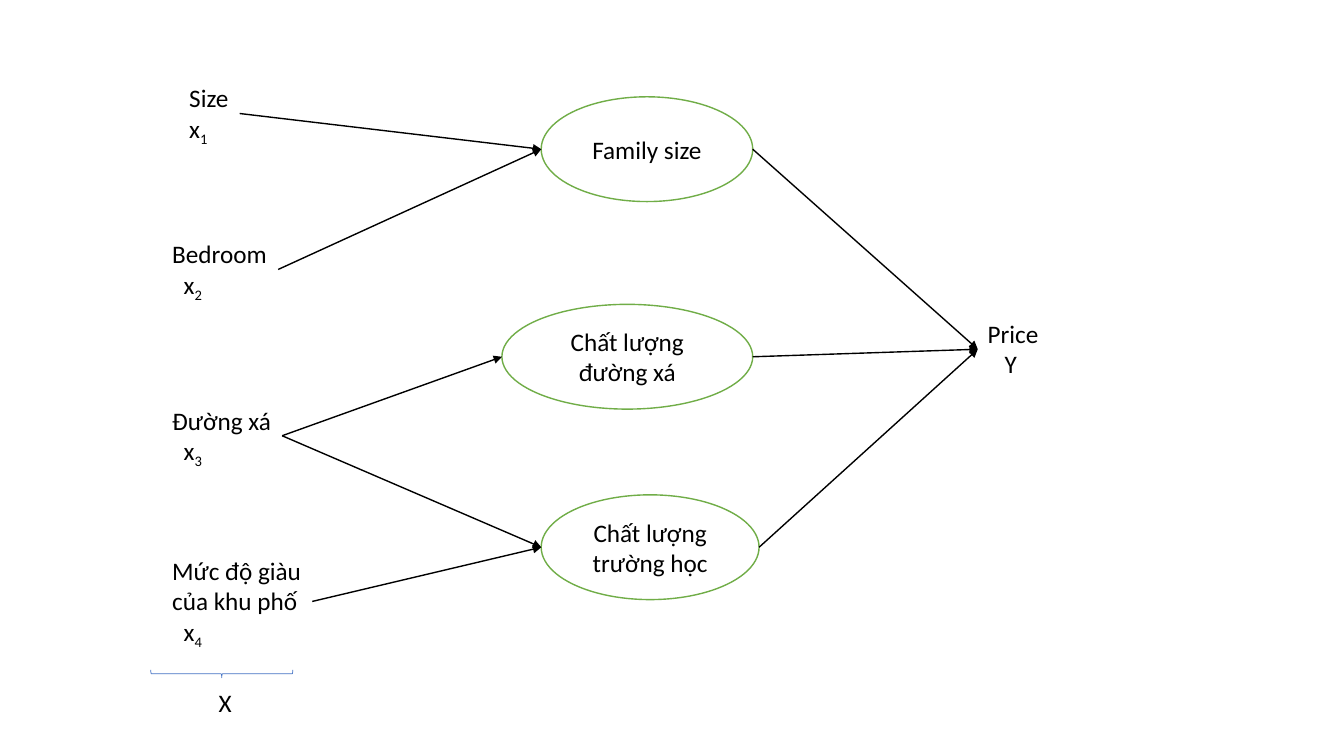
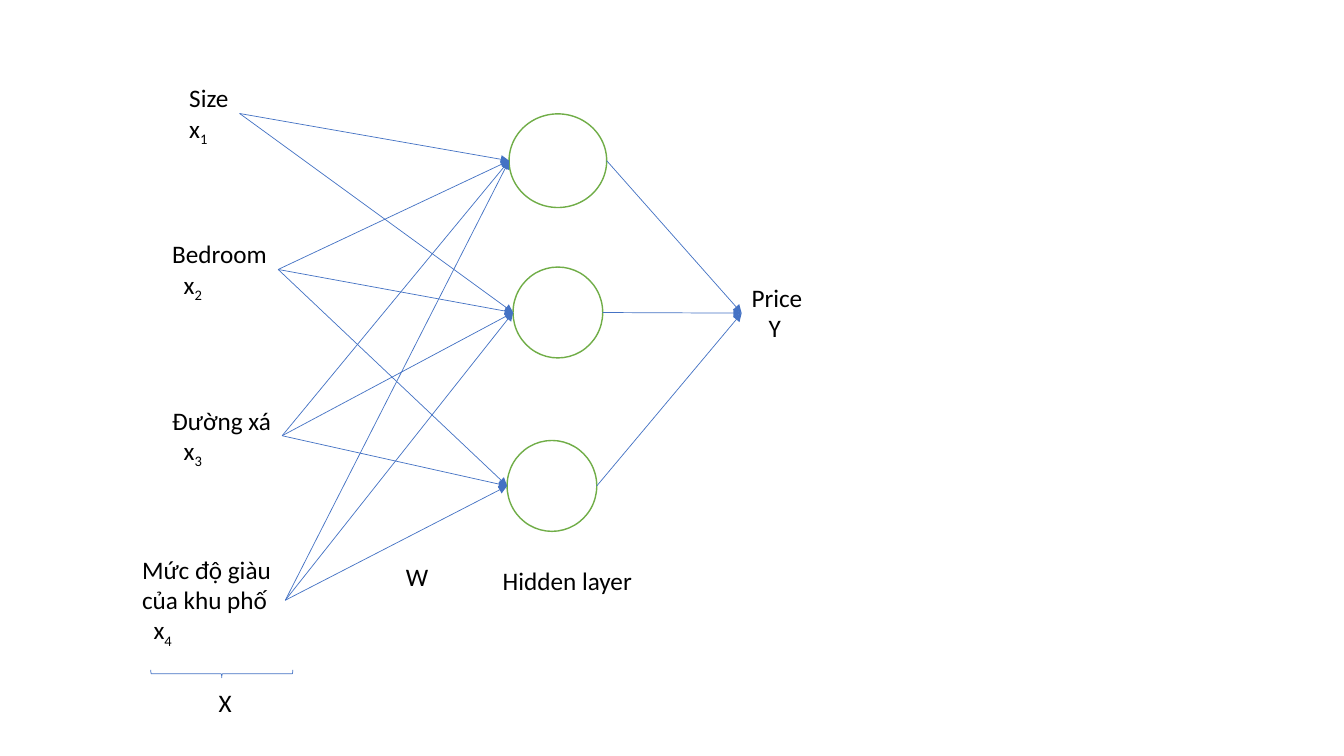
"""Build two slides that turn a house price diagram into a neural network."""
from dataclasses import dataclass
from typing import Optional

from lxml import etree
from pptx import Presentation
from pptx import util as u
from pptx.dml.color import RGBColor
from pptx.enum import shapes, text
from pptx.oxml import ns


@dataclass(frozen=True)
class Theme:
    font: str = "Calibri"
    size: float = 18
    ink: RGBColor = RGBColor(0x00, 0x00, 0x00)
    paper: RGBColor = RGBColor(0xFF, 0xFF, 0xFF)
    green: RGBColor = RGBColor(0x70, 0xAD, 0x47)
    blue: RGBColor = RGBColor(0x44, 0x72, 0xC4)
    thin: float = 0.5
    normal: float = 1


@dataclass(frozen=True)
class Box:
    left: float
    top: float
    width: float
    height: float

    def lengths(self) -> tuple:
        return tuple(u.Cm(side) for side in (self.left, self.top, self.width, self.height))


@dataclass(frozen=True)
class Line:
    words: str
    subscript: str = ""
    indent: float = 0


@dataclass(frozen=True)
class Label:
    box: Box
    lines: tuple[Line, ...]
    wrap: bool = False
    targets: tuple[int, ...] = ()
    arrow_left: Optional[float] = None


@dataclass(frozen=True)
class Neuron:
    box: Box
    words: str = ""


@dataclass(frozen=True)
class Network:
    inputs: tuple[Label, ...]
    neurons: tuple[Neuron, ...]
    price: Label
    captions: tuple[Label, ...]
    arrow_colour: RGBColor
    arrow_width: float


THEME = Theme()
LINE_HEIGHT = 1.02
PAIR_HEIGHT = 1.8
BRACE = Box(5.49, 15.19, 0.2, 3.58)


def caption(words: str, left: float, top: float, width: float) -> Label:
    return Label(Box(left, top, width, LINE_HEIGHT), (Line(words),))


def price_at(left: float, top: float) -> Label:
    return Label(Box(left, top, PAIR_HEIGHT, PAIR_HEIGHT), (Line("Price"), Line("Y", indent=0.43)))


def feature(words: str, index: int, box: Box, targets: tuple[int, ...], *,
            indent: float = 0.29, wrap: bool = False,
            arrow_left: Optional[float] = None) -> Label:
    return Label(box, (Line(words), Line("x", str(index), indent)), wrap, targets, arrow_left)


def features(targets: tuple[tuple[int, ...], ...], wealth_box: Box,
             wealth_arrow_left: Optional[float] = None) -> tuple[Label, ...]:
    return (
        feature("Size", 1, Box(4.52, 1.96, 1.52, PAIR_HEIGHT), targets[0], indent=0),
        feature("Bedroom", 2, Box(4.09, 5.89, 2.92, PAIR_HEIGHT), targets[1]),
        feature("Đường xá", 3, Box(4.09, 10.08, 3.02, PAIR_HEIGHT), targets[2]),
        feature("Mức độ giàu của khu phố", 4, wealth_box, targets[3],
                wrap=True, arrow_left=wealth_arrow_left),
    )


INPUT_CAPTION = caption("X", 5.26, 17.2, 0.84)

NETWORKS = (
    Network(
        inputs=features(((0,), (0,), (1, 2), (2,)), Box(4.09, 13.87, 4.7, 2.57), 7.87),
        neurons=(
            Neuron(Box(13.64, 2.44, 5.33, 2.64), "Family size"),
            Neuron(Box(12.65, 7.67, 6.32, 2.64), "Chất lượng đường xá"),
            Neuron(Box(13.64, 12.47, 5.49, 2.64), "Chất lượng trường học"),
        ),
        price=price_at(24.64, 7.9),
        captions=(INPUT_CAPTION,),
        arrow_colour=THEME.ink,
        arrow_width=THEME.normal,
    ),
    Network(
        inputs=features(((0, 1), (0, 1, 2), (0, 1, 2), (0, 1, 2)), Box(3.33, 13.84, 3.86, 2.57)),
        neurons=(
            Neuron(Box(12.83, 2.87, 2.46, 2.36)),
            Neuron(Box(12.93, 6.73, 2.26, 2.29)),
            Neuron(Box(12.78, 11.1, 2.26, 2.29)),
        ),
        price=price_at(18.69, 6.99),
        captions=(
            INPUT_CAPTION,
            caption("W", 9.98, 14.02, 1.09),
            caption("Hidden layer", 12.42, 14.12, 3.81),
        ),
        arrow_colour=THEME.blue,
        arrow_width=THEME.thin,
    ),
)


def write(paragraph, words: str, *, subscript: str = "", indent: float = 0,
          align: text.PP_ALIGN = text.PP_ALIGN.LEFT) -> None:
    paragraph.alignment = align
    if indent:
        paragraph._p.get_or_add_pPr().set("marL", str(u.Cm(indent)))
    for part, baseline in ((words, 0), (subscript, -25000)):
        if not part:
            continue
        run = paragraph.add_run()
        run.text = part
        run.font.name = THEME.font
        run.font.size = u.Pt(THEME.size)
        run.font.color.rgb = THEME.ink
        if baseline:
            run._r.get_or_add_rPr().set("baseline", str(baseline))


def draw_label(slide, label: Label):
    holder = slide.shapes.add_textbox(*label.box.lengths())
    frame = holder.text_frame
    frame.word_wrap = label.wrap
    frame.auto_size = text.MSO_AUTO_SIZE.SHAPE_TO_FIT_TEXT
    for number, line in enumerate(label.lines):
        paragraph = frame.add_paragraph() if number else frame.paragraphs[0]
        write(paragraph, line.words, subscript=line.subscript, indent=line.indent)
    return holder


def draw_neuron(slide, neuron: Neuron):
    oval = slide.shapes.add_shape(shapes.MSO_SHAPE.OVAL, *neuron.box.lengths())
    oval.shadow.inherit = False
    oval.fill.solid()
    oval.fill.fore_color.rgb = THEME.paper
    oval.line.color.rgb = THEME.green
    oval.line.width = u.Pt(THEME.normal)
    if neuron.words:
        oval.text_frame.vertical_anchor = text.MSO_ANCHOR.MIDDLE
        write(oval.text_frame.paragraphs[0], neuron.words, align=text.PP_ALIGN.CENTER)
    return oval


def draw_brace(slide) -> None:
    brace = slide.shapes.add_shape(shapes.MSO_SHAPE.LEFT_BRACE, *BRACE.lengths())
    brace.shadow.inherit = False
    brace.rotation = 270
    brace.fill.background()
    brace.line.color.rgb = THEME.blue
    brace.line.width = u.Pt(THEME.thin)


def left_middle(shape) -> tuple[int, int]:
    return shape.left, shape.top + shape.height // 2


def right_middle(shape) -> tuple[int, int]:
    return shape.left + shape.width, shape.top + shape.height // 2


def draw_arrow(slide, start: tuple[int, int], end: tuple[int, int],
               colour: RGBColor, width: float):
    arrow = slide.shapes.add_connector(shapes.MSO_CONNECTOR.STRAIGHT, *start, *end)
    arrow.line.color.rgb = colour
    arrow.line.width = u.Pt(width)
    etree.SubElement(arrow.line._get_or_add_ln(), ns.qn("a:tailEnd"), type="triangle")
    etree.SubElement(arrow._element.spPr, ns.qn("a:effectLst"))
    return arrow


def draw_network(slide, network: Network) -> None:
    stroke = network.arrow_colour, network.arrow_width
    neurons = [draw_neuron(slide, neuron) for neuron in network.neurons]
    price = draw_label(slide, network.price)
    for label in network.inputs:
        source = draw_label(slide, label)
        start = right_middle(source)
        if label.arrow_left is not None:
            start = u.Cm(label.arrow_left), start[1]
        for target in label.targets:
            arrow = draw_arrow(slide, start, left_middle(neurons[target]), *stroke)
            if label.arrow_left is None:
                arrow.begin_connect(source, 3)
    for neuron in neurons:
        arrow = draw_arrow(slide, right_middle(neuron), left_middle(price), *stroke)
        arrow.end_connect(price, 1)
    for label in network.captions:
        draw_label(slide, label)
    draw_brace(slide)


def main() -> None:
    deck = Presentation()
    deck.slide_width, deck.slide_height = u.Cm(33.87), u.Cm(19.05)
    blank = deck.slide_layouts[6]
    for network in NETWORKS:
        draw_network(deck.slides.add_slide(blank), network)
    deck.save("out.pptx")


if __name__ == "__main__":
    main()
